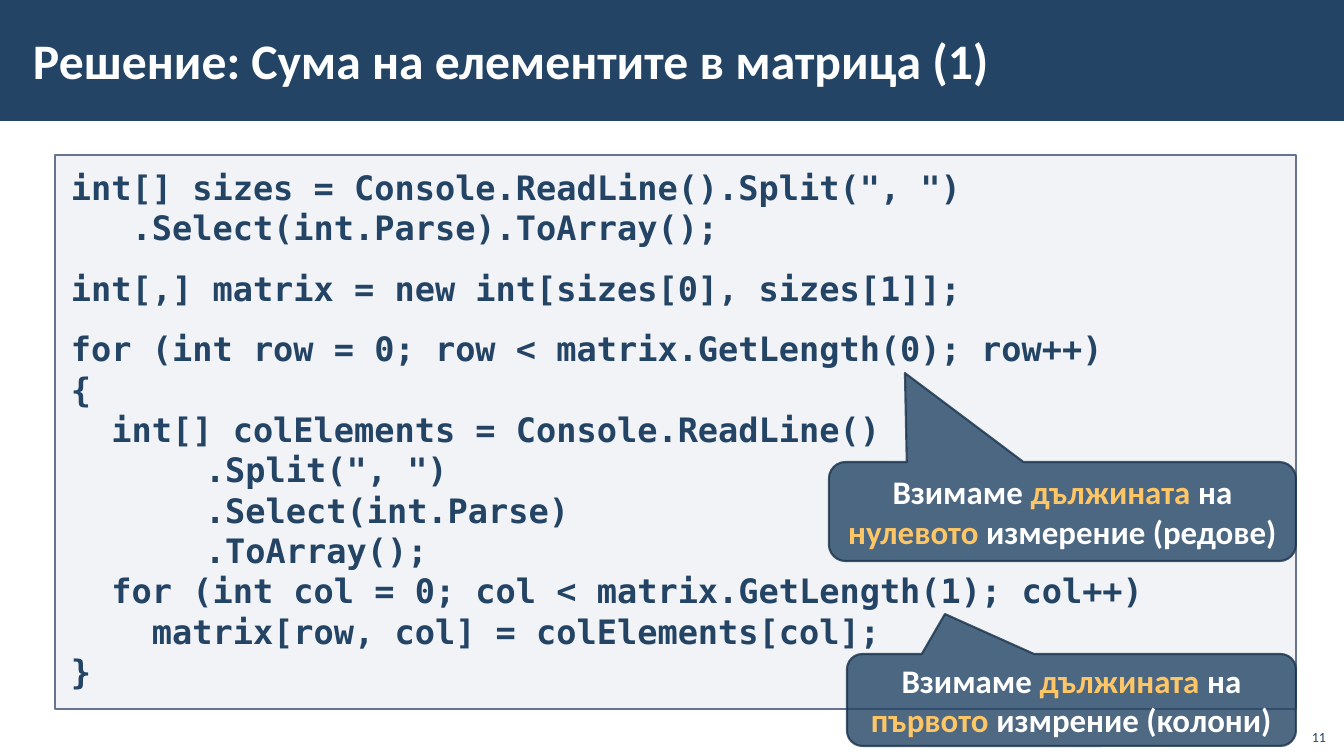
"""Builds the slide with the matrix sum solution and its two callouts."""
import pptx
import pptx.util
import pptx.dml.color
import pptx.enum.shapes
import pptx.enum.text
import pptx.oxml.ns
from lxml import etree

TITLE = "Решение: Сума на елементите в матрица (1)"
CODE = [
    ('int[] sizes = Console.ReadLine().Split(", ")', 1),
    ("   .Select(int.Parse).ToArray();", 1),
    ("int[,] matrix = new int[sizes[0], sizes[1]];", 1.5),
    ("for (int row = 0; row < matrix.GetLength(0); row++)", 1.5),
    ("{", 1),
    ("  int[] colElements = Console.ReadLine()", 1),
    ('\t.Split(", ")', 1),
    ("\t.Select(int.Parse)", 1),
    ("\t.ToArray();", 1),
    ("  for (int col = 0; col < matrix.GetLength(1); col++)", 1),
    ("    matrix[row, col] = colElements[col];", 1),
    ("}", 1),
]
NAVY, EDGE, WHITE, GOLD = "234465", "1A334C", "FFFFFF", "FFC666"
CALLOUTS = [
    ((847, 654, 449, 92), (945, 614),
     [[("Взимаме ", WHITE), ("дължината", GOLD), (" на ", WHITE),
       ("първото", GOLD), (" измрение (колони)", WHITE)]]),
    ((829, 462, 467, 99), (905, 373),
     [[("Взимаме ", WHITE), ("дължината", GOLD), (" на", WHITE)],
      [("нулевото ", GOLD), ("измерение (редове)", WHITE)]]),
]
NUMBER = "11"
SANS, MONO = "Calibri", "DejaVu Sans Mono"
TAB = 134
SHAPES = pptx.enum.shapes.MSO_SHAPE
ALIGN = pptx.enum.text.PP_ALIGN
ANCHOR = pptx.enum.text.MSO_ANCHOR


def px(n):
    return pptx.util.Emu(round(n * 914400 / 100.8))


def rgb(value):
    return pptx.dml.color.RGBColor.from_string(value)


def paint(fill, color, percent=100):
    fill.solid()
    fill.fore_color.rgb = rgb(color)
    if percent < 100:
        clr = fill._xPr.find(".//" + pptx.oxml.ns.qn("a:srgbClr"))
        etree.SubElement(clr, pptx.oxml.ns.qn("a:alpha"), val=str(percent * 1000))


def add_shape(s, kind, box, color, percent=100, line=None, width=1, line_percent=100):
    sp = s.shapes.add_shape(kind, *map(px, box))
    sp.shadow.inherit = False
    paint(sp.fill, color, percent)
    if line:
        sp.line.width = pptx.util.Pt(width)
        paint(sp.line.fill, line, line_percent)
    else:
        sp.line.fill.background()
    return sp


def set_frame(sp, anchor, dx, dy, wrap=True):
    tf = sp.text_frame
    tf.word_wrap = wrap
    tf.auto_size = pptx.enum.text.MSO_AUTO_SIZE.NONE
    tf.vertical_anchor = anchor
    tf.margin_left = tf.margin_right = px(dx)
    tf.margin_top = tf.margin_bottom = px(dy)
    return tf


def add_run(p, text, size, color, font=SANS, bold=True):
    r = p.add_run()
    r.text = text
    r.font.size = pptx.util.Pt(size)
    r.font.name = font
    r.font.bold = bold
    r.font.color.rgb = rgb(color)


def add_code(s):
    sp = add_shape(s, SHAPES.RECTANGLE, (55, 155, 1241, 554), "ADB4C3", 15, "67748E")
    tf = set_frame(sp, ANCHOR.TOP, 16, 12)
    for i, (text, spacing) in enumerate(CODE):
        p = tf.add_paragraph() if i else tf.paragraphs[0]
        tabs = etree.SubElement(p._p.get_or_add_pPr(), pptx.oxml.ns.qn("a:tabLst"))
        etree.SubElement(tabs, pptx.oxml.ns.qn("a:tab"), pos=str(px(TAB)), algn="l")
        p.alignment = ALIGN.LEFT
        p.line_spacing = spacing
        add_run(p, text, 24, NAVY, MONO)


def add_title(s):
    sp = s.shapes.title
    sp.left, sp.top, sp.width, sp.height = map(px, (21, 11, 1072, 98))
    p = set_frame(sp, ANCHOR.MIDDLE, 12, 4).paragraphs[0]
    p.alignment = ALIGN.LEFT
    add_run(p, TITLE, 35.5, WHITE)


def add_callout(s, box, tip, lines):
    x, y, w, h = box
    sp = add_shape(s, SHAPES.ROUNDED_RECTANGULAR_CALLOUT, box, NAVY, 80, EDGE, 1.5, 80)
    sp.adjustments[0] = (tip[0] - x) / w - 0.5
    sp.adjustments[1] = (tip[1] - y) / h - 0.5
    p = set_frame(sp, ANCHOR.MIDDLE, 10, 5).paragraphs[0]
    p.alignment = ALIGN.CENTER
    for i, runs in enumerate(lines):
        if i:
            p.add_line_break()
        for text, color in runs:
            add_run(p, text, 23.5, color)


def add_number(s):
    sp = s.shapes.add_textbox(*map(px, (1295, 718, 41, 32)))
    p = set_frame(sp, ANCHOR.BOTTOM, 10, 5, False).paragraphs[0]
    p.alignment = ALIGN.RIGHT
    add_run(p, NUMBER, 10, NAVY, bold=False)


def main():
    prs = pptx.Presentation()
    prs.slide_width, prs.slide_height = px(1344), px(756)
    s = prs.slides.add_slide(prs.slide_layouts[5])
    bar = add_shape(s, SHAPES.RECTANGLE, (0, 0, 1344, 121), NAVY)
    s.shapes.title._element.addprevious(bar._element)
    add_title(s)
    add_code(s)
    for callout in CALLOUTS:
        add_callout(s, *callout)
    add_number(s)
    prs.save("out.pptx")


if __name__ == "__main__":
    main()
